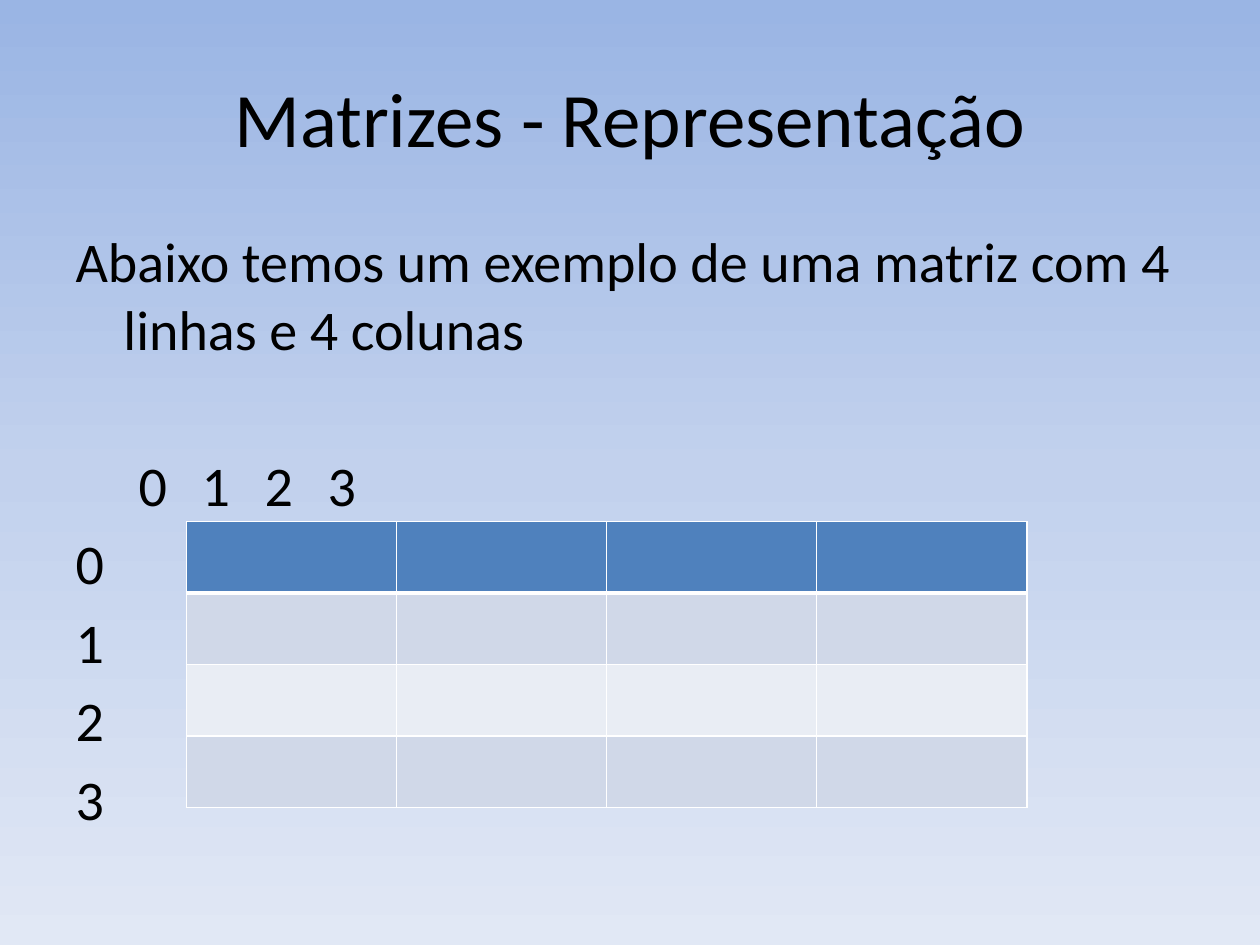
from copy import deepcopy

from pptx import Presentation
from pptx.dml.color import RGBColor
from pptx.enum.text import MSO_ANCHOR, MSO_AUTO_SIZE, PP_ALIGN
from pptx.oxml.ns import qn
from pptx.util import Inches, Pt
from lxml.etree import SubElement

COLORS = {
    "sky_top": "9AB5E4", "sky_middle": "C2D1ED", "sky_bottom": "E1E8F5",
    "text": "000000", "border": "FFFFFF",
    "header": "4F81BD", "band_dark": "D0D8E8", "band_light": "E9EDF4",
}
ROW_FILLS = ("header", "band_dark", "band_light", "band_dark")
COLUMN_LABEL_STOPS = (1.87, 3.41, 5.33, 7.07)
HANGING = 0.38
LINE_GAP = 6.4
TABLE_GAP = 51


def color(name):
    return RGBColor.from_string(COLORS[name])


def place(shape, left, top, width, height):
    bounds = {"left": left, "top": top, "width": width, "height": height}
    for name, value in bounds.items():
        setattr(shape, name, Inches(value))


def set_background(slide):
    fill = slide.background.fill
    fill.gradient()
    fill.gradient_angle = 270
    stop_list = slide.element.find(".//" + qn("a:gsLst"))
    stop_list.insert(1, deepcopy(stop_list[0]))
    stops = ((0, "sky_top"), (0.5, "sky_middle"), (1, "sky_bottom"))
    for stop, (position, name) in zip(fill.gradient_stops, stops):
        stop.position = position
        stop.color.rgb = color(name)


def write(paragraph, text, size):
    paragraph.text = text
    for name, value in {"name": "Calibri", "size": Pt(size)}.items():
        setattr(paragraph.font, name, value)
    paragraph.font.color.rgb = color("text")


def add_title(slide, text):
    title = slide.shapes.title
    place(title, 0.5, 0.3, 9, 1.25)
    title.text_frame.vertical_anchor = MSO_ANCHOR.MIDDLE
    paragraph = title.text_frame.paragraphs[0]
    write(paragraph, text, 44)
    paragraph.alignment = PP_ALIGN.CENTER


def format_line(paragraph, indent, gap, stops=()):
    """Remove the bullet and set the hanging indent, space before and tab stops."""
    paragraph.space_before = Pt(gap)
    properties = paragraph._p.get_or_add_pPr()
    properties.set("marL", str(Inches(indent)))
    properties.set("indent", str(Inches(-indent)))
    SubElement(properties, qn("a:buNone"))
    if stops:
        tab_list = SubElement(properties, qn("a:tabLst"))
        for stop in stops:
            SubElement(tab_list, qn("a:tab"), pos=str(Inches(stop)), algn="l")


def add_body(slide, intro, indices):
    body = slide.placeholders[1]
    place(body, 0.5, 1.75, 9, 4.95)
    frame = body.text_frame
    frame.auto_size = MSO_AUTO_SIZE.NONE
    column_labels = "".join(f"\t{index}" for index in indices)
    lines = [(intro, HANGING, LINE_GAP, ()),
             (column_labels, 0, TABLE_GAP, COLUMN_LABEL_STOPS)]
    lines += [(str(index), HANGING, LINE_GAP, ()) for index in indices]
    for number, (text, indent, gap, stops) in enumerate(lines):
        paragraph = frame.add_paragraph() if number else frame.paragraphs[0]
        format_line(paragraph, indent, gap, stops)
        write(paragraph, text, 32)


def set_border(cell, side, width):
    line = SubElement(cell._tc.get_or_add_tcPr(), qn(f"a:ln{side}"), w=str(Pt(width)))
    fill = SubElement(line, qn("a:solidFill"))
    SubElement(fill, qn("a:srgbClr"), val=COLORS["border"])


def add_matrix(slide, size):
    frame = slide.shapes.add_table(size, size, Inches(1.48), Inches(4.14),
                                   Inches(6.67), Inches(2.27))
    for row_number, row in enumerate(frame.table.rows):
        widths = {"L": 1, "R": 1,
                  "T": 3 if row_number == 1 else 1,
                  "B": 3 if row_number == 0 else 1}
        for cell in row.cells:
            for side, width in widths.items():
                set_border(cell, side, width)
            cell.fill.solid()
            cell.fill.fore_color.rgb = color(ROW_FILLS[row_number])


def main():
    presentation = Presentation()
    presentation.slide_width, presentation.slide_height = Inches(10), Inches(7.5)
    slide = presentation.slides.add_slide(presentation.slide_layouts[1])
    set_background(slide)
    add_title(slide, "Matrizes - Representação")
    add_body(slide, "Abaixo temos um exemplo de uma matriz com 4 linhas e 4 colunas",
             range(4))
    add_matrix(slide, 4)
    presentation.save("out.pptx")


if __name__ == "__main__":
    main()
